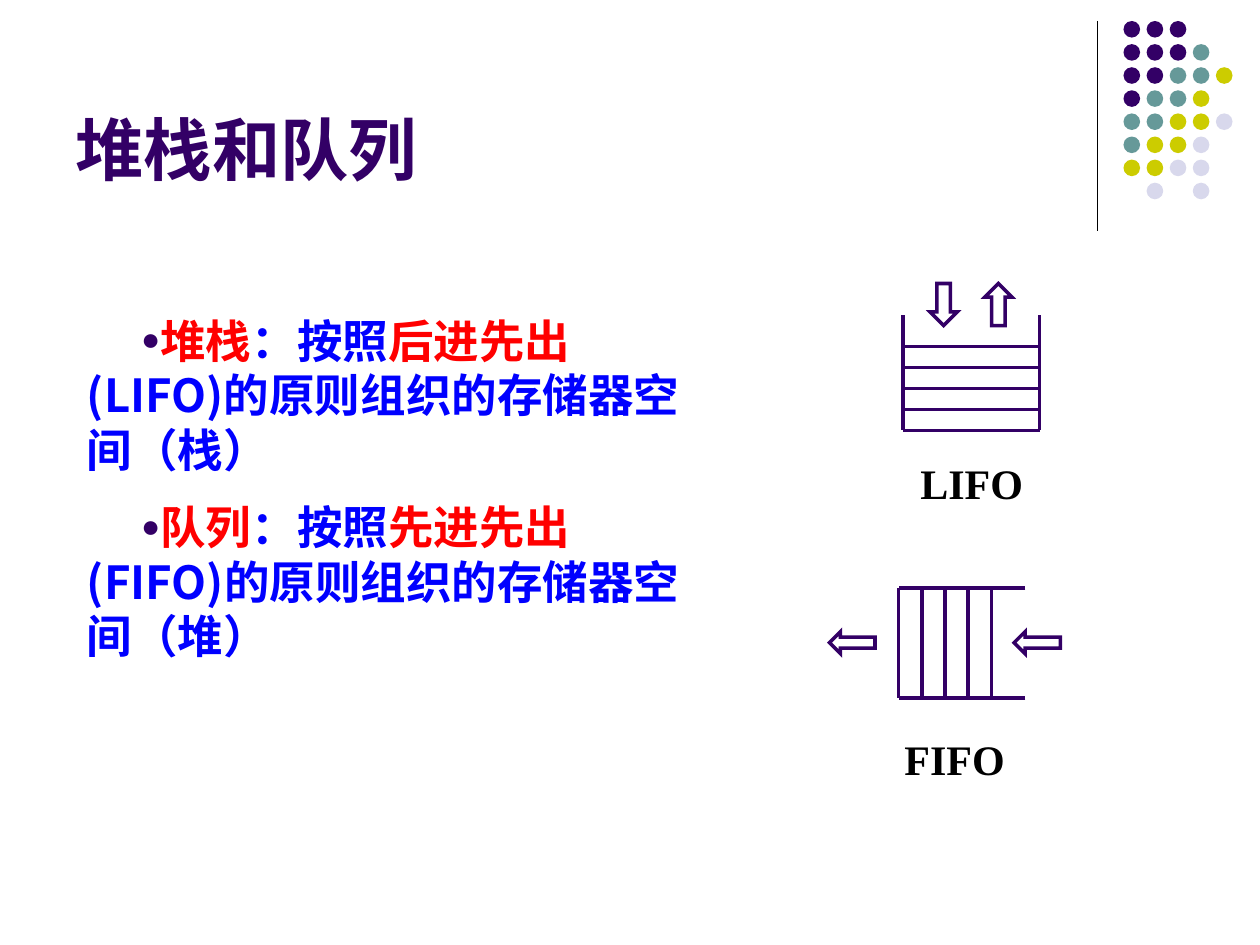
from lxml import etree
from pptx import Presentation
from pptx.dml.color import RGBColor
from pptx.enum.shapes import MSO_CONNECTOR, MSO_SHAPE
from pptx.enum.text import MSO_ANCHOR, MSO_AUTO_SIZE, PP_ALIGN
from pptx.oxml.ns import qn
from pptx.util import Pt

PURPLE, TEAL, OLIVE, LAVENDER = "330066", "669999", "CCCC00", "D8D8EC"
RED, BLUE, BLACK = "FF0000", "0000FF", "000000"


def paint(fill, color):
    fill.solid()
    fill.fore_color.rgb = RGBColor.from_string(color)


def draw_line(start_x, start_y, end_x, end_y, color=PURPLE, width=2):
    line = slide.shapes.add_connector(
        MSO_CONNECTOR.STRAIGHT, Pt(start_x), Pt(start_y), Pt(end_x), Pt(end_y))
    paint(line.line.fill, color)
    line.line.width = Pt(width)
    etree.SubElement(line.element.spPr, qn("a:effectLst"))


presentation = Presentation()
presentation.slide_width, presentation.slide_height = Pt(720), Pt(540)
slide = presentation.slides.add_slide(presentation.slide_layouts[1])

draw_line(627, 12, 627, 132, BLACK, 0.75)

dot_colors = {"P": PURPLE, "T": TEAL, "O": OLIVE, "L": LAVENDER}
dot_rows = ["PPP", "PPPT", "PPTTO", "PTTO", "TTOOL", "TOOL", "OOLL", "-L-L"]
for row, letters in enumerate(dot_rows):
    for column, letter in enumerate(letters):
        if letter in dot_colors:
            dot = slide.shapes.add_shape(
                MSO_SHAPE.OVAL, Pt(642 + 13.2 * column), Pt(12 + 13.2 * row), Pt(9.5), Pt(9.5))
            dot.shadow.inherit = False
            paint(dot.fill, dot_colors[letter])
            dot.line.fill.background()

title = slide.shapes.title
title_place = {"left": Pt(36), "top": Pt(0), "width": Pt(426), "height": Pt(111.5)}
for name, value in title_place.items():
    setattr(title, name, value)
title_frame = {"vertical_anchor": MSO_ANCHOR.BOTTOM, "auto_size": MSO_AUTO_SIZE.NONE,
               "text": "堆栈和队列"}
for name, value in title_frame.items():
    setattr(title.text_frame, name, value)
paragraph = title.text_frame.paragraphs[0]
paragraph.alignment = PP_ALIGN.LEFT
title_font = {"name": "Arial", "size": Pt(39), "bold": True}
for name, value in title_font.items():
    setattr(paragraph.runs[0].font, name, value)
paint(paragraph.runs[0].font.fill, PURPLE)

body = slide.placeholders[1]
body_place = {"left": Pt(42.5), "top": Pt(175), "width": Pt(368), "height": Pt(258)}
for name, value in body_place.items():
    setattr(body, name, value)
body.text_frame.auto_size = MSO_AUTO_SIZE.NONE

body_font = {"name": "Noto Sans CJK SC", "size": Pt(26), "bold": True}
definitions = [("堆栈", "后进先出", "(LIFO)的原则组织的存储器空间（栈）"),
               ("队列", "先进先出", "(FIFO)的原则组织的存储器空间（堆）")]
for index, (term, order, rest) in enumerate(definitions):
    paragraph = body.text_frame.add_paragraph() if index else body.text_frame.paragraphs[0]
    properties = paragraph._p.get_or_add_pPr()
    properties.set("marL", "0")
    properties.set("indent", str(Pt(31)))
    bullet_color = etree.SubElement(properties, qn("a:buClr"))
    etree.SubElement(bullet_color, qn("a:srgbClr"), val=PURPLE)
    etree.SubElement(properties, qn("a:buSzPct"), val="70000")
    etree.SubElement(properties, qn("a:buFont"), typeface="Arial")
    etree.SubElement(properties, qn("a:buChar"), char="●")
    paragraph.space_before = Pt(13 * index)
    for text, color in [(term, RED), ("：按照", BLUE), (order, RED), (rest, BLUE)]:
        run = paragraph.add_run()
        run.text = text
        for name, value in body_font.items():
            setattr(run.font, name, value)
        paint(run.font.fill, color)
        etree.SubElement(run._r.rPr, qn("a:ea"), typeface="Noto Sans CJK SC")

stack_left, stack_right, stack_top, stack_bottom = 516, 594, 180, 246
for x in (stack_left, stack_right):
    draw_line(x, stack_top, x, stack_bottom)
for level in range(5):
    y = stack_bottom - 12 * level
    draw_line(stack_left, y, stack_right, y)

queue_left, queue_right, queue_top, queue_bottom = 513.5, 586, 336, 399
for y in (queue_top, queue_bottom):
    draw_line(queue_right, y, queue_left, y)
for cell in range(5):
    x = queue_left + 13.25 * cell
    draw_line(x, queue_top, x, queue_bottom)

arrows = [(MSO_SHAPE.DOWN_ARROW, 531.5, 162, 15.5, 24),
          (MSO_SHAPE.UP_ARROW, 562.75, 162, 15.5, 24),
          (MSO_SHAPE.LEFT_ARROW, 579.5, 361, 26.5, 12.5),
          (MSO_SHAPE.LEFT_ARROW, 474, 361, 26, 12.5)]
for kind, left, top, width, height in arrows:
    arrow = slide.shapes.add_shape(kind, Pt(left), Pt(top), Pt(width), Pt(height))
    arrow.shadow.inherit = False
    arrow.fill.background()
    paint(arrow.line.fill, PURPLE)
    arrow.line.width = Pt(2)
    etree.SubElement(arrow.element.spPr.find(qn("a:ln")), qn("a:miter"), lim="800000")

label_frame = {"word_wrap": False, "vertical_anchor": MSO_ANCHOR.MIDDLE,
               "auto_size": MSO_AUTO_SIZE.SHAPE_TO_FIT_TEXT}
label_font = {"name": "Times New Roman", "size": Pt(24), "bold": True}
for text, left, top, width in [("LIFO", 518.5, 258, 73.5), ("FIFO", 509.5, 415.5, 72)]:
    label = slide.shapes.add_textbox(Pt(left), Pt(top), Pt(width), Pt(36))
    for name, value in label_frame.items():
        setattr(label.text_frame, name, value)
    paragraph = label.text_frame.paragraphs[0]
    paragraph.alignment = PP_ALIGN.CENTER
    run = paragraph.add_run()
    run.text = text
    for name, value in label_font.items():
        setattr(run.font, name, value)
    paint(run.font.fill, BLACK)

presentation.save("out.pptx")
